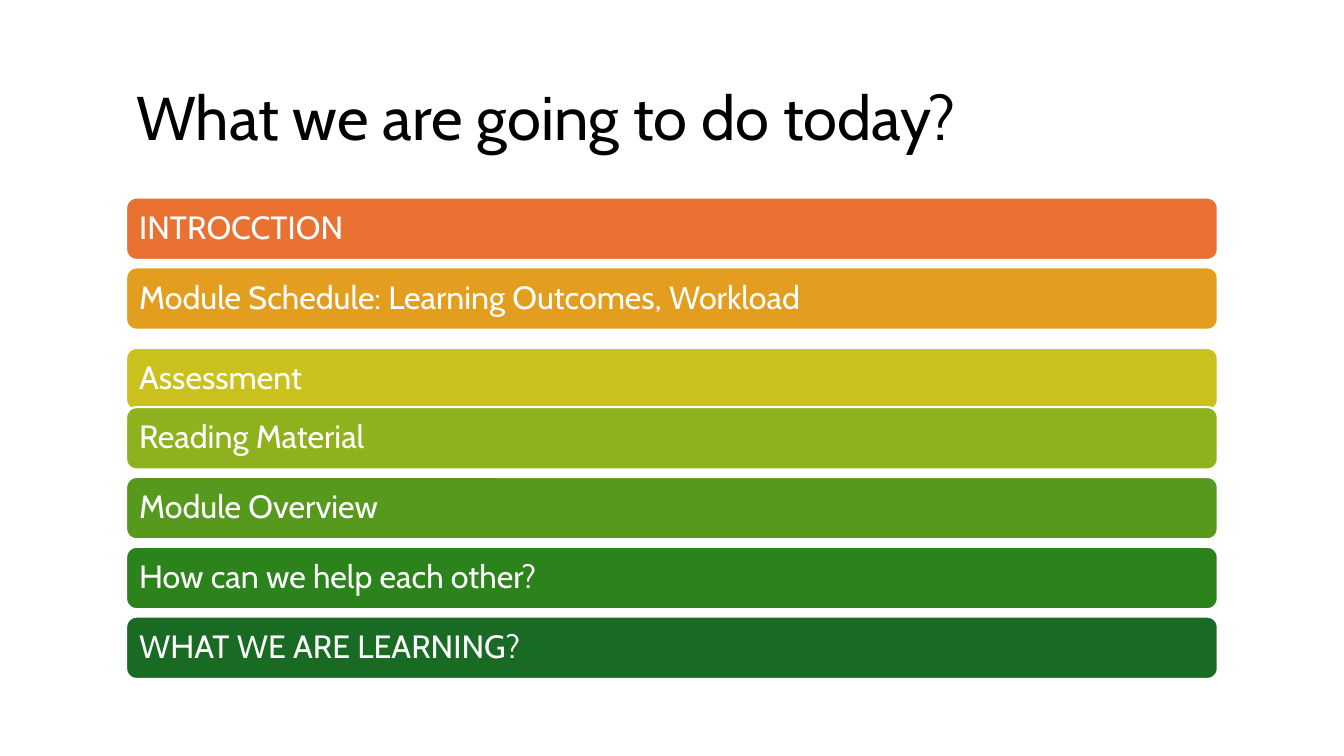
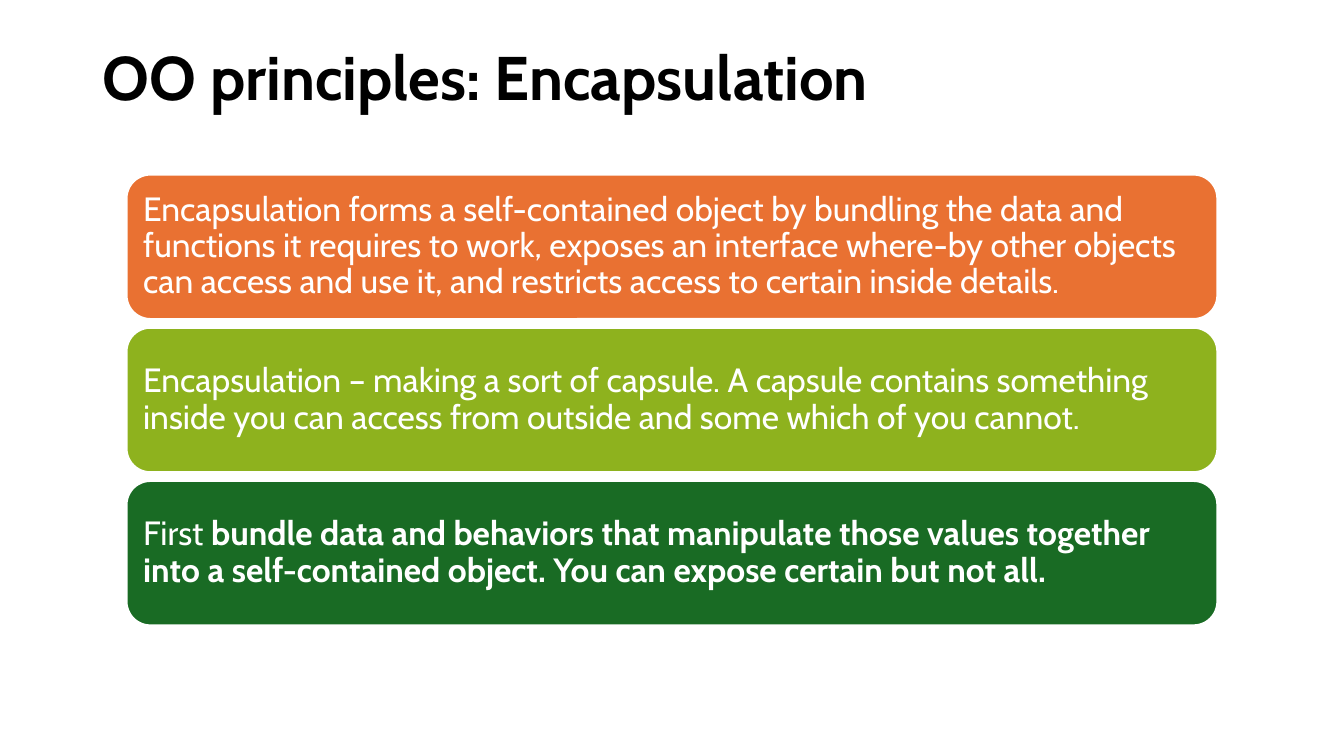
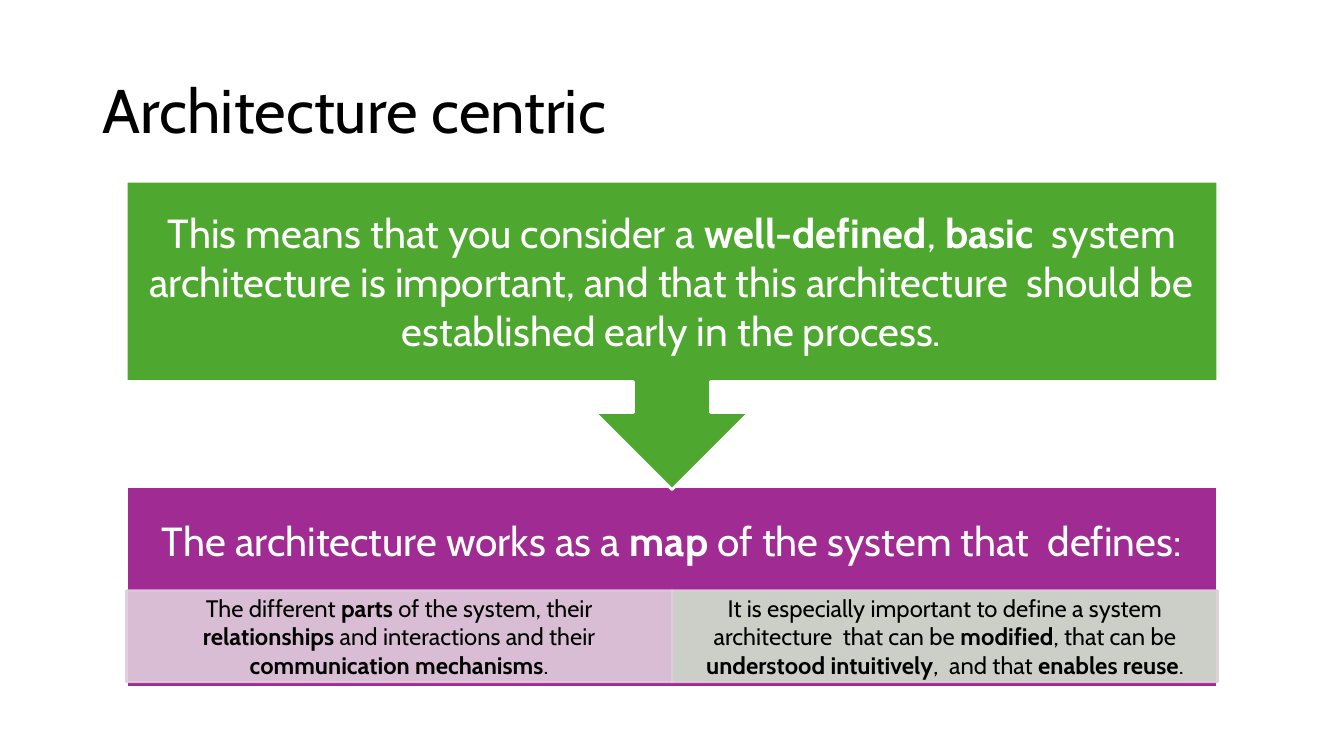
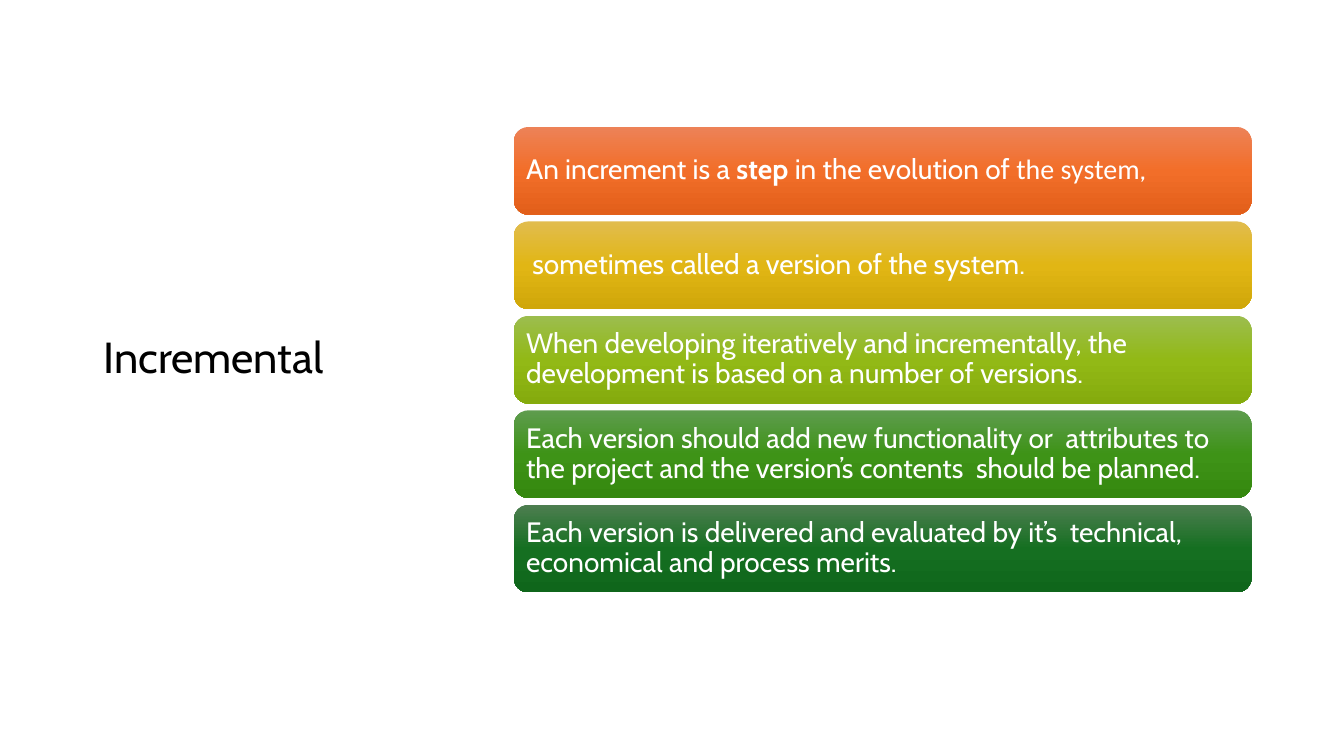
"""Build four course slides on object orientation and architecture."""
import copy

import lxml.etree
import pptx
import pptx.dml.color
import pptx.enum.shapes
import pptx.enum.text
import pptx.oxml.ns
import pptx.util

Cm = pptx.util.Cm
Pt = pptx.util.Pt
RGBColor = pptx.dml.color.RGBColor
Shape = pptx.enum.shapes.MSO_SHAPE
Align = pptx.enum.text.PP_ALIGN
Anchor = pptx.enum.text.MSO_ANCHOR

BLACK = RGBColor(0x00, 0x00, 0x00)
WHITE = RGBColor(0xFF, 0xFF, 0xFF)
ORANGE = RGBColor(0xE9, 0x71, 0x32)
AMBER = RGBColor(0xE3, 0x9D, 0x1F)
YELLOW = RGBColor(0xCB, 0xC1, 0x1E)
LIME = RGBColor(0x8E, 0xB2, 0x1E)
LEAF = RGBColor(0x56, 0x99, 0x1D)
GREEN = RGBColor(0x2C, 0x82, 0x1B)
FOREST = RGBColor(0x19, 0x6B, 0x24)
GRASS = RGBColor(0x4E, 0xA7, 0x2E)
PURPLE = RGBColor(0xA0, 0x2B, 0x93)
LILAC = RGBColor(0xDF, 0xCD, 0xDC)
MINT = RGBColor(0xD0, 0xE1, 0xCD)
BLENDS = [
    (RGBColor(0xED, 0x82, 0x57), RGBColor(0xF2, 0x6E, 0x29), RGBColor(0xE2, 0x5F, 0x1A)),
    (RGBColor(0xE1, 0xBC, 0x4E), RGBColor(0xE1, 0xB6, 0x14), RGBColor(0xD0, 0xA7, 0x0A)),
    (RGBColor(0x9C, 0xBD, 0x4E), RGBColor(0x92, 0xB9, 0x16), RGBColor(0x85, 0xAB, 0x0D)),
    (RGBColor(0x5E, 0x9C, 0x4E), RGBColor(0x3E, 0x93, 0x17), RGBColor(0x35, 0x88, 0x0F)),
    (RGBColor(0x4D, 0x7E, 0x50), RGBColor(0x15, 0x6F, 0x21), RGBColor(0x0F, 0x66, 0x1B)),
]

BOLD = {"bold": True}
PLAIN = {"name": "Calibri"}
LEFT, WIDE = 3.18, 27.51


class Deck:
    """Holds the shared style and the current slide."""

    font = "Cabin"

    def __init__(self):
        self.show = pptx.Presentation()
        self.show.slide_width, self.show.slide_height = Cm(33.87), Cm(19.05)
        self.slide = None

    def start(self, title, box, size=44, bold=False):
        self.slide = self.show.slides.add_slide(self.show.slide_layouts[6])
        frame = self.slide.shapes.add_textbox(*map(Cm, box)).text_frame
        self.label(frame, [title], size, BLACK, (0.25, 0.13, 0.25, 0.13), bold=bold)

    def label(self, frame, parts, size, ink, inset, align=Align.LEFT, lead=0.9, bold=False):
        sides = ("margin_left", "margin_top", "margin_right", "margin_bottom")
        style = dict(zip(sides, map(Cm, inset)), word_wrap=True, vertical_anchor=Anchor.MIDDLE)
        self.apply(frame, style)
        para = frame.paragraphs[0]
        self.apply(para, {"alignment": align, "line_spacing": lead})
        base = {"name": self.font, "size": Pt(size), "bold": bold}
        for part in parts:
            text, extra = (part, {}) if isinstance(part, str) else part
            run = para.add_run()
            run.text = text
            self.apply(run.font, {**base, **extra})
            run.font.color.rgb = ink

    def apply(self, item, style):
        for name, value in style.items():
            setattr(item, name, value)

    def panel(self, kind, box, fill, parts, size, inset, line=2, edge=WHITE, ink=WHITE, **form):
        shape = self.slide.shapes.add_shape(kind, *map(Cm, box))
        shape.shadow.inherit = False
        if isinstance(fill, tuple) and not isinstance(fill, RGBColor):
            self.blend(shape, fill)
        else:
            shape.fill.solid()
            shape.fill.fore_color.rgb = fill
        if line:
            shape.line.width = Pt(line)
            shape.line.color.rgb = edge
        else:
            shape.line.fill.background()
        self.label(shape.text_frame, parts, size, ink, inset, **form)
        return shape

    def blend(self, shape, tones):
        shape.fill.gradient()
        shape.fill.gradient_angle = 270
        stops = shape._element.spPr.find(".//" + pptx.oxml.ns.qn("a:gsLst"))
        stops.insert(1, copy.deepcopy(stops[1]))
        for stop, tone, place in zip(shape.fill.gradient_stops, tones, (0, 0.5, 1)):
            stop.color.rgb = tone
            stop.position = place

    def fade(self, shape, share):
        for tone in shape._element.spPr.iter(pptx.oxml.ns.qn("a:srgbClr")):
            alpha = lxml.etree.SubElement(tone, pptx.oxml.ns.qn("a:alpha"))
            alpha.set("val", str(share * 1000))

    def stack(self, box, gap, rows, size, pad, line, shift=None):
        left, top, width, height = box
        for i, (fill, parts) in enumerate(rows):
            drop = (shift or {}).get(i, 0)
            place = (left, top + i * (height + gap) + drop, width, height)
            self.panel(Shape.ROUNDED_RECTANGLE, place, fill, parts, size, (pad,) * 4, line)


def main():
    deck = Deck()

    deck.start("What we are going to do today?", (LEFT, 1.73, WIDE, 2.64))
    topics = [
        (ORANGE, ["INTROCCTION"]),
        (AMBER, ["Module Schedule: Learning Outcomes, Workload"]),
        (YELLOW, ["Assessment"]),
        (LIME, ["Reading Material"]),
        (LEAF, ["Module Overview"]),
        (GREEN, ["How can we help each other?"]),
        (FOREST, ["WHAT WE ARE LEARNING?"]),
    ]
    deck.stack((LEFT, 4.98, WIDE, 1.57), 0.19, topics, 23, 0.25, 1.5, shift={2: 0.27})

    deck.start("OO principles: Encapsulation", (2.34, 1.02, 29.21, 2.01), bold=True)
    ideas = [
        (ORANGE, ["Encapsulation forms a self-contained object by bundling the data and "
                  "functions it requires to work, exposes an interface where-by other objects "
                  "can access and use it, and restricts access to certain inside details."]),
        (LIME, ["Encapsulation – making a sort of capsule. A capsule contains something "
                "inside you can access from outside and some which of you cannot."]),
        (FOREST, ["First ",
                  ("bundle data and behaviors that manipulate those values together "
                   "into a self-contained object. You can expose certain but not all.", BOLD)]),
    ]
    deck.stack((LEFT, 4.39, WIDE, 3.66), 0.2, ideas, 24, 0.25, 2)

    deck.start("Architecture centric", (2.34, 1.02, 29.21, 3.68))
    form = {"align": Align.CENTER, "lead": 1.0}
    works = ["The architecture works as a ", ("map ", BOLD), "of the system that  defines:"]
    deck.panel(Shape.RECTANGLE, (LEFT, 12.27, WIDE, 5.05), PURPLE, works, 29,
               (0.58, 0.58, 0.58, 2.92), **form)
    cells = [
        (LILAC, ["The different ", ("parts ", BOLD), "of the system, their ",
                 ("relationships ", BOLD), "and interactions and their ",
                 ("communication mechanisms", BOLD), "."]),
        (MINT, ["It is especially important to define a system architecture  that can be ",
                ("modified", BOLD), ", that can be ", ("understood intuitively", BOLD),
                ",  and that ", ("enables reuse", BOLD), "."]),
    ]
    half = WIDE / 2
    for i, (fill, parts) in enumerate(cells):
        cell = deck.panel(Shape.RECTANGLE, (LEFT + i * half, 14.88, half, 2.31), fill, parts, 17,
                          (0.33, 0.05, 0.33, 0.05), 1.5, LILAC, BLACK, **form)
        deck.fade(cell, 90)
    means = ["This means that you consider a ", ("well-defined", BOLD), ", ", ("basic  ", BOLD),
             "system architecture is important, and that this architecture  should be "
             "established early in the process."]
    deck.panel(Shape.DOWN_ARROW_CALLOUT, (LEFT, 4.57, WIDE, 7.77), GRASS, means, 29,
               (0.58,) * 4, **form)

    deck.start("Incremental", (2.36, 3.15, 7.62, 11.81), 31)
    steps = [
        ["An increment is a ", ("step ", BOLD), "in the evolution of ", ("the system", PLAIN), ","],
        [(" ", PLAIN), "sometimes called a version of the system."],
        ["When developing iteratively and incrementally, the  development is based on "
         "a number of versions."],
        ["Each version should add new functionality or  attributes to the project and "
         "the version’s contents  should be planned."],
        ["Each version is delivered and evaluated by it’s  technical, economical and "
         "process merits."],
    ]
    deck.stack((12.95, 3.2, 18.59, 2.21), 0.17, list(zip(BLENDS, steps)), 20, 0.2, 0)

    deck.show.save("out.pptx")


if __name__ == "__main__":
    main()
